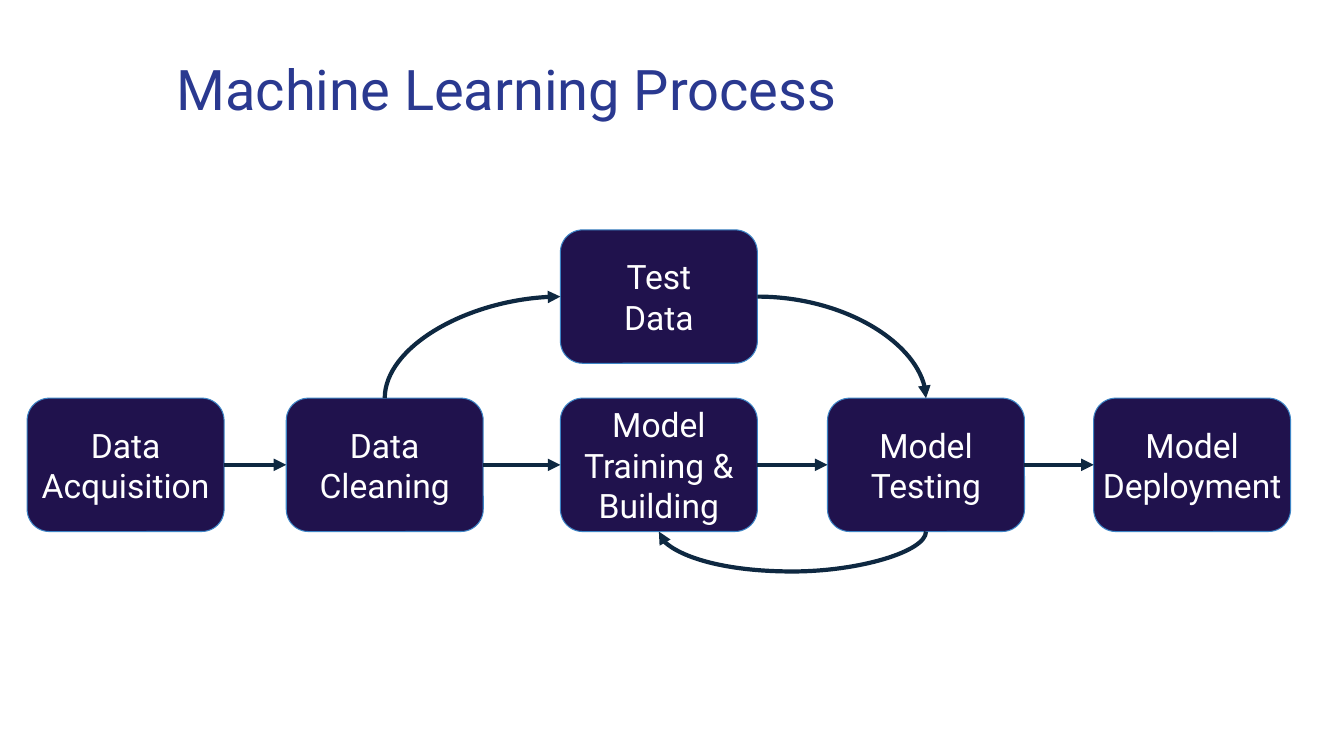
from dataclasses import dataclass

import lxml.etree
import pptx
import pptx.dml.color
import pptx.enum.shapes
import pptx.enum.text
import pptx.oxml
import pptx.oxml.ns
import pptx.util

Pt = pptx.util.Pt
qn = pptx.oxml.ns.qn
TOP, LEFT, BOTTOM, RIGHT = range(4)


@dataclass(frozen=True)
class Theme:
    """Hold the colours, font and sizes of the slide."""
    title: str = "2A3990"
    step_fill: str = "20124D"
    step_border: str = "3D85C6"
    step_text: str = "FFFFFF"
    arrow: str = "0E2841"
    font: str = "Roboto"
    title_size: int = 40
    step_size: int = 24
    border_width: float = 0.75
    arrow_width: float = 3


THEME = Theme()


def rgb(value):
    """Turn a hex string into a colour."""
    return pptx.dml.color.RGBColor.from_string(value)


def style_paragraph(paragraph, size, color):
    """Set the font of one paragraph."""
    paragraph.font.name = THEME.font
    paragraph.font.size = Pt(size)
    paragraph.font.color.rgb = rgb(color)


def add_title(slide, text, left, top, width, height):
    """Write the slide heading in the given box."""
    frame = slide.shapes.add_textbox(Pt(left), Pt(top), Pt(width), Pt(height)).text_frame
    frame.word_wrap = True
    frame.margin_left = frame.margin_right = Pt(9.6)
    frame.margin_top = frame.margin_bottom = Pt(9.6)
    frame.text = text
    style_paragraph(frame.paragraphs[0], THEME.title_size, THEME.title)


def add_step(slide, label, left, top, width, height):
    """Draw one rounded process step with its label."""
    step = slide.shapes.add_shape(
        pptx.enum.shapes.MSO_SHAPE.ROUNDED_RECTANGLE, Pt(left), Pt(top), Pt(width), Pt(height))
    step.shadow.inherit = False
    step.fill.solid()
    step.fill.fore_color.rgb = rgb(THEME.step_fill)
    step.line.color.rgb = rgb(THEME.step_border)
    step.line.width = Pt(THEME.border_width)
    frame = step.text_frame
    frame.word_wrap = True
    frame.margin_left = frame.margin_right = frame.margin_top = frame.margin_bottom = 0
    frame.vertical_anchor = pptx.enum.text.MSO_ANCHOR.MIDDLE
    frame.text = label
    for paragraph in frame.paragraphs:
        paragraph.alignment = pptx.enum.text.PP_ALIGN.CENTER
        style_paragraph(paragraph, THEME.step_size, THEME.step_text)
    return step


def add_arrow(slide, source, source_site, target, target_site,
              kind=pptx.enum.shapes.MSO_CONNECTOR.STRAIGHT):
    """Join two steps with an arrow."""
    arrow = slide.shapes.add_connector(kind, 0, 0, 0, 0)
    arrow.begin_connect(source, source_site)
    arrow.end_connect(target, target_site)
    arrow.line.color.rgb = rgb(THEME.arrow)
    arrow.line.width = Pt(THEME.arrow_width)
    lxml.etree.SubElement(arrow.line._get_or_add_ln(), qn("a:tailEnd"), type="triangle")
    lxml.etree.SubElement(arrow._element.spPr, qn("a:effectLst"))
    return arrow


def add_curve(slide, source, source_site, target, target_site, rotation, bulge=0):
    """Join two steps with a curved arrow that leaves in the rotated direction."""
    curve = add_arrow(slide, source, source_site, target, target_site,
                      pptx.enum.shapes.MSO_CONNECTOR.CURVE)
    center_x = (curve.begin_x + curve.end_x) // 2
    center_y = (curve.begin_y + curve.end_y) // 2
    width, height = curve.width, curve.height
    if rotation % 180:
        width, height = height, width
    width = max(width, Pt(0.1))
    curve.left, curve.top = center_x - width // 2, center_y - height // 2
    curve.width, curve.height = width, height
    properties = curve._element.spPr
    frame = properties.find(qn("a:xfrm"))
    for flip in ("flipH", "flipV"):
        frame.attrib.pop(flip, None)
    frame.set("rot", str(rotation * 60000))
    geometry = properties.find(qn("a:prstGeom"))
    geometry.set("prst", "curvedConnector3" if bulge else "curvedConnector2")
    if bulge:
        adjustments = geometry.find(qn("a:avLst"))
        ratio = round(Pt(bulge) / width * 100000)
        lxml.etree.SubElement(adjustments, qn("a:gd"), name="adj1", fmla=f"val {ratio}")


def add_process(slide, left, top):
    """Lay out the process steps and their arrows from a top-left corner."""
    width, height = 140.7, 95.3
    main_row = top + 120.2
    stages = [
        ("Data\nAcquisition", 0),
        ("Data\nCleaning", 185.1),
        ("Model\nTraining &\nBuilding", 380.9),
        ("Model\nTesting", 571.7),
        ("Model\nDeployment", 761.8),
    ]
    steps = [add_step(slide, label, left + offset, main_row, width, height)
             for label, offset in stages]
    acquisition, cleaning, training, testing, deployment = steps
    test_data = add_step(slide, "Test\nData", left + stages[2][1], top, width, height)
    for source, target in zip(steps, steps[1:]):
        add_arrow(slide, source, RIGHT, target, LEFT)
    add_curve(slide, testing, BOTTOM, training, BOTTOM, 90, bulge=25.2)
    add_curve(slide, cleaning, TOP, test_data, LEFT, 270)
    add_curve(slide, test_data, RIGHT, testing, TOP, 0)


def main():
    """Build and save the slide."""
    presentation = pptx.Presentation()
    presentation.slide_width, presentation.slide_height = Pt(960), Pt(540)
    slide = presentation.slides.add_slide(presentation.slide_layouts[6])
    add_title(slide, "Machine Learning Process", 116.6, 29.5, 830, 64)
    add_process(slide, 19.4, 164.2)
    presentation.save("out.pptx")


if __name__ == "__main__":
    main()
